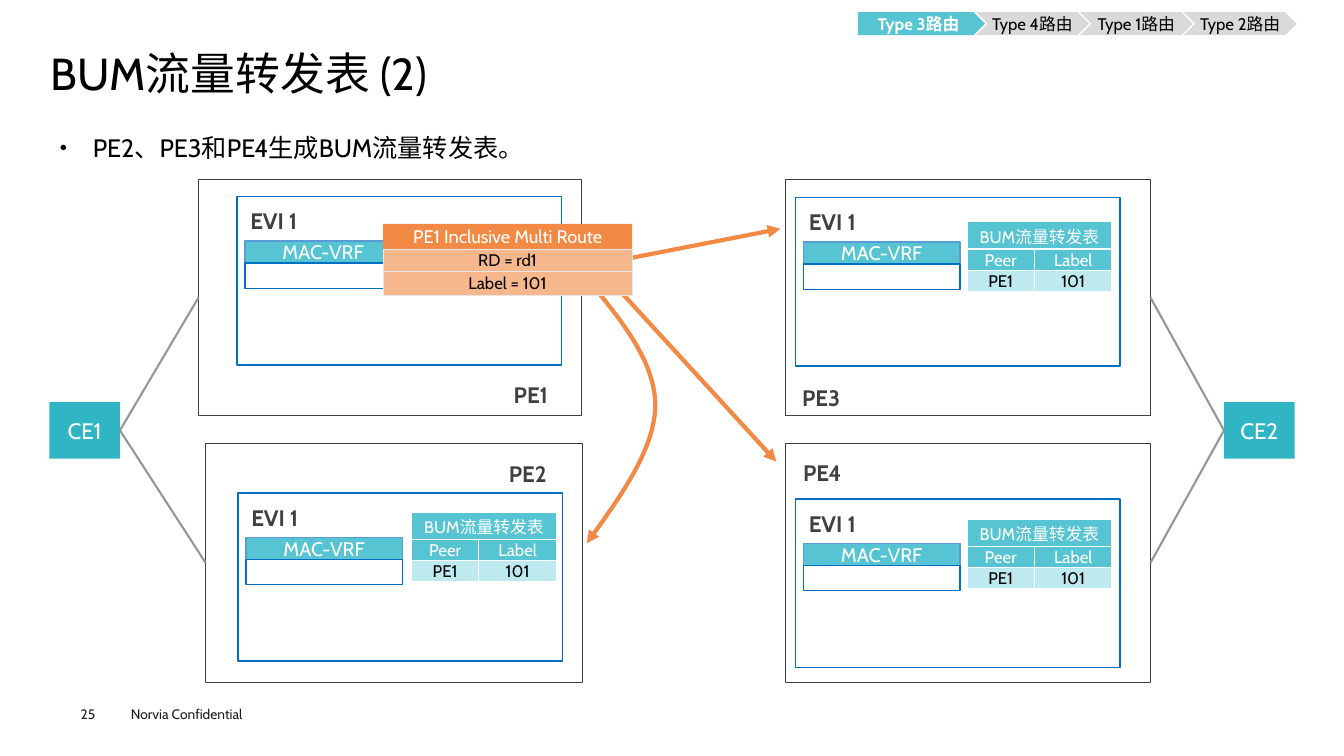
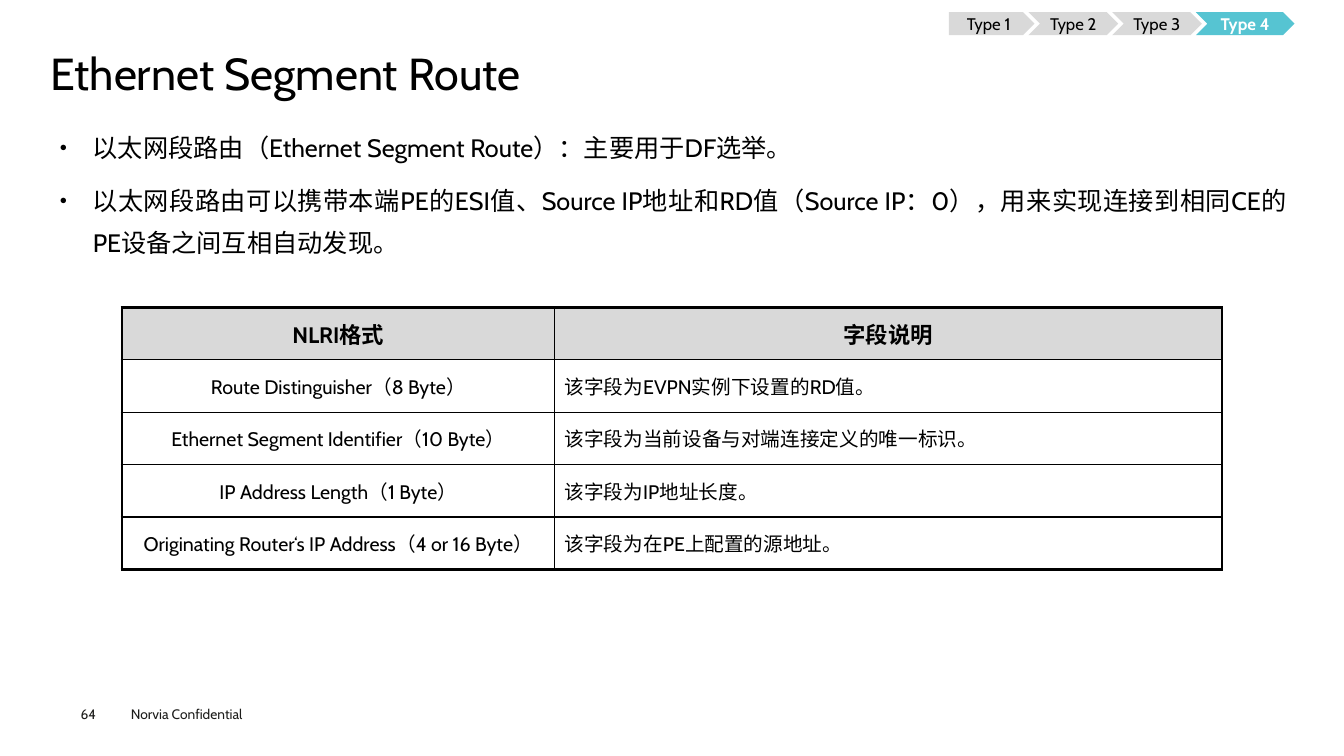
"""Builds two slides on EVPN routes: BUM forwarding tables and the Ethernet Segment Route."""
from lxml.etree import SubElement
from pptx import Presentation
from pptx.dml.color import RGBColor
from pptx.enum.lang import MSO_LANGUAGE_ID
from pptx.enum.shapes import MSO_CONNECTOR, MSO_SHAPE
from pptx.enum.text import MSO_ANCHOR, MSO_AUTO_SIZE, PP_ALIGN
from pptx.oxml.ns import qn
from pptx.util import Inches, Pt

FONT = "Cabin"
COLORS = {
    "black": "000000", "white": "FFFFFF", "footer": "1D1D1B", "dark": "404040",
    "blue": "0070C0", "light_blue": "5B9BD5", "teal": "56C4D2", "deep_teal": "30B5C5",
    "pale_teal": "BEE9EE", "orange": "F28944", "pale_orange": "F6B78C",
    "grey": "D9D9D9", "pale_grey": "E7E6E6", "link": "969696",
}
CENTER, LEFT, JUSTIFY = PP_ALIGN.CENTER, PP_ALIGN.LEFT, PP_ALIGN.JUSTIFY


def rgb(name):
    """Return the named colour."""
    return RGBColor.from_string(COLORS[name])


def inches(values):
    """Turn a sequence of numbers into lengths."""
    return [Inches(v) for v in values]


def write(p, text, size, color="black", bold=False, align=LEFT):
    """Add one formatted run to a paragraph."""
    p.alignment = align
    r = p.add_run()
    r.text = text
    r.font.name = FONT
    r.font.size = Pt(size)
    r.font.bold = bold
    r.font.color.rgb = rgb(color)
    r.font.language_id = MSO_LANGUAGE_ID.SIMPLIFIED_CHINESE


def set_insets(frame, left, top, right, bottom):
    """Set the four inner margins of a text frame or a cell."""
    frame.margin_left, frame.margin_top, frame.margin_right, frame.margin_bottom = inches(
        (left, top, right, bottom))


def add_text(s, at, text, size, color="black", bold=False, align=LEFT, wrap=True, inset=True):
    """Add a text box of one paragraph."""
    tf = s.shapes.add_textbox(*inches(at)).text_frame
    tf.word_wrap = wrap
    if not inset:
        set_insets(tf, 0, 0, 0, 0)
    write(tf.paragraphs[0], text, size, color, bold, align)


def add_box(s, at, fill=None, line=None, width=1, text="", size=12, color="black",
            bold=False, kind=MSO_SHAPE.RECTANGLE):
    """Add a preset shape with an optional centred label."""
    sp = s.shapes.add_shape(kind, *inches(at))
    sp.shadow.inherit = False
    if fill:
        sp.fill.solid()
        sp.fill.fore_color.rgb = rgb(fill)
    else:
        sp.fill.background()
    if line:
        sp.line.color.rgb = rgb(line)
        sp.line.width = Pt(width)
    else:
        sp.line.fill.background()
    if text:
        tf = sp.text_frame
        set_insets(tf, 0, 0, 0, 0)
        tf.vertical_anchor = MSO_ANCHOR.MIDDLE
        write(tf.paragraphs[0], text, size, color, bold, CENTER)
    return sp


def stroke(sp, color, width, arrow=False):
    """Format a line, with an arrowhead at its end if asked."""
    sp.line.color.rgb = rgb(color)
    sp.line.width = Pt(width)
    if arrow:
        SubElement(sp.element.spPr.find(qn("a:ln")), qn("a:tailEnd"), type="triangle")
    SubElement(sp.element.spPr, qn("a:effectLst"))


def add_link(s, start, start_side, end, end_side):
    """Join two boxes with a grey connector."""
    cn = s.shapes.add_connector(MSO_CONNECTOR.STRAIGHT, 0, 0, 0, 0)
    cn.begin_connect(start, start_side)
    cn.end_connect(end, end_side)
    stroke(cn, "link", 1.5)


def add_arrow(s, start, end):
    """Add a straight orange arrow."""
    cn = s.shapes.add_connector(MSO_CONNECTOR.STRAIGHT, *inches(start + end))
    stroke(cn, "orange", 3, arrow=True)


def bezier(a, b, c, d, steps=20):
    """Return points along a cubic curve, without its first point."""
    points = []
    for i in range(1, steps + 1):
        t = i / steps
        u = 1 - t
        weights = (u ** 3, 3 * u * u * t, 3 * u * t * t, t ** 3)
        points.append([sum(w * q[k] for w, q in zip(weights, (a, b, c, d))) for k in (0, 1)])
    return points


def add_curved_arrow(s, *segments):
    """Add an orange arrow along cubic segments."""
    fb = s.shapes.build_freeform(*inches(segments[0][0]))
    points = [q for segment in segments for q in bezier(*segment)]
    fb.add_line_segments([inches(q) for q in points], close=False)
    sp = fb.convert_to_shape()
    sp.fill.background()
    stroke(sp, "orange", 3, arrow=True)


def set_borders(cell, color, widths):
    """Set the left, right, top and bottom borders of a cell."""
    tc_pr = cell._tc.get_or_add_tcPr()
    for side, width in zip("LRTB", widths):
        ln = SubElement(tc_pr, qn(f"a:ln{side}"), w=str(Pt(width)))
        fill = SubElement(ln, qn("a:solidFill"))
        SubElement(fill, qn("a:srgbClr"), val=COLORS[color])


def add_table(s, at, cols, heights, rows, border, outer, insets=None):
    """Add a table from rows of (texts, fill, size, colour, bold, alignments)."""
    size = (sum(cols), sum(heights))
    tb = s.shapes.add_table(len(rows), len(cols), *inches(at + size)).table
    tb.first_row = tb.horz_banding = False
    for col, width in zip(tb.columns, cols):
        col.width = Inches(width)
    for i, (texts, fill, pt, color, bold, aligns) in enumerate(rows):
        tb.rows[i].height = Inches(heights[i])
        for j, (text, align) in enumerate(zip(texts, aligns)):
            cell = tb.cell(i, j)
            edges = (j == 0, j == len(cols) - 1, i == 0, i == len(rows) - 1)
            set_borders(cell, border, [outer if edge else 1 for edge in edges])
            if fill:
                cell.fill.solid()
                cell.fill.fore_color.rgb = rgb(fill)
            else:
                cell.fill.background()
            cell.vertical_anchor = MSO_ANCHOR.MIDDLE
            if insets:
                set_insets(cell, *insets)
            write(cell.text_frame.paragraphs[0], text, pt, color, bold, align)
    return tb


def add_bullets(s, texts):
    """Add the bulleted, justified body text."""
    tf = s.shapes.add_textbox(*inches((0.5, 1.15, 12.35, 1.6))).text_frame
    tf.word_wrap = True
    set_insets(tf, 0.09, 0.04, 0.09, 0.04)
    for i, text in enumerate(texts):
        p = tf.add_paragraph() if i else tf.paragraphs[0]
        p_pr = p._p.get_or_add_pPr()
        p_pr.set("marL", str(Inches(0.33)))
        p_pr.set("indent", str(-Inches(0.33)))
        SubElement(p_pr, qn("a:buSzPct"), val="50000")
        SubElement(p_pr, qn("a:buFont"), typeface="Arial")
        SubElement(p_pr, qn("a:buChar"), char="●")
        p.line_spacing = 1.4
        if i:
            p.space_before = Pt(7.9)
        write(p, text, 18, align=JUSTIFY)


def add_steps(s, left, overlap, steps, active):
    """Add the chevron strip at the top right."""
    for i, (text, width) in enumerate(steps):
        on = i == active
        add_box(s, (left, 0.12, width, 0.23), "teal" if on else "grey", text=text,
                color="white" if on else "black", bold=on,
                kind=MSO_SHAPE.CHEVRON if i else MSO_SHAPE.PENTAGON)
        left += width - overlap


def new_slide(prs, title, number, bullets):
    """Add a slide with its title, footer and bullets."""
    s = prs.slides.add_slide(prs.slide_layouts[5])
    sp = s.shapes.title
    sp.left, sp.top, sp.width, sp.height = inches((0.5, 0.49, 12.35, 0.53))
    tf = sp.text_frame
    tf.auto_size = MSO_AUTO_SIZE.NONE
    tf.vertical_anchor = MSO_ANCHOR.MIDDLE
    set_insets(tf, 0, 0, 0, 0)
    tf.paragraphs[0].line_spacing = 0.9
    write(tf.paragraphs[0], title, 32)
    add_text(s, (1.2, 6.95, 1.6, 0.27), "Norvia Confidential", 9.8, "footer")
    add_text(s, (0.8, 7, 0.55, 0.16), str(number), 9.8, "footer", inset=False)
    add_bullets(s, bullets)
    return s


def add_label(s, x, y, width, text):
    """Add a bold dark label."""
    add_text(s, (x, y, width, 0.37), text, 16, "dark", True, CENTER, wrap=False)


def add_pe(s, at, name, label_at):
    """Add the frame and name of a PE device."""
    sp = add_box(s, at, line="dark")
    add_label(s, *label_at, 0.59, name)
    return sp


def add_evi(s, x, y):
    """Add an EVI frame with its MAC-VRF table."""
    add_box(s, (x, y, 3.22, 1.67), line="blue")
    add_box(s, (x + 0.08, y + 0.44, 1.55, 0.22), "teal", "light_blue",
            text="MAC-VRF", size=14, color="white")
    add_label(s, x - 0.01, y + 0.06, 0.75, "EVI 1")
    add_box(s, (x + 0.08, y + 0.66, 1.55, 0.25), line="blue")


def add_bum_table(s, x, y):
    """Add a BUM forwarding table."""
    aligns = (CENTER, CENTER)
    rows = [
        (("BUM流量转发表", ""), "teal", 12, "white", False, aligns),
        (("Peer", "Label"), "teal", 12, "white", False, aligns),
        (("PE1", "101"), "pale_teal", 12, "black", False, aligns),
    ]
    tb = add_table(s, (x, y), (0.67, 0.77), (0.27, 0.2, 0.2), rows, "white", 1,
                   (0.01, 0.01, 0.01, 0))
    tb.cell(0, 0).merge(tb.cell(0, 1))


def build_bum(prs):
    """Build the BUM forwarding table slide."""
    s = new_slide(prs, "BUM流量转发表 (2)", 25, ["PE2、PE3和PE4生成BUM流量转发表。"])
    pe1 = add_pe(s, (1.97, 1.78, 3.8, 2.34), "PE1", (4.97, 3.73))
    pe2 = add_pe(s, (2.04, 4.4, 3.74, 2.37), "PE2", (4.94, 4.52))
    pe3 = add_pe(s, (7.79, 1.78, 3.62, 2.34), "PE3", (7.85, 3.76))
    pe4 = add_pe(s, (7.79, 4.4, 3.62, 2.37), "PE4", (7.86, 4.51))
    for x, y in ((2.35, 1.95), (7.89, 1.96), (2.36, 4.89), (7.89, 4.95)):
        add_evi(s, x, y)
    for x, y in ((9.59, 2.2), (9.59, 5.15), (4.08, 5.08)):
        add_bum_table(s, x, y)
    add_curved_arrow(s, ((5.81, 2.75), (6.15, 3.16), (6.49, 3.57), (6.5, 4.01)),
                     ((6.5, 4.01), (6.5, 4.45), (6.16, 4.92), (5.82, 5.39)))
    add_arrow(s, (5.85, 2.56), (7.7, 4.58))
    add_arrow(s, (5.69, 2.67), (7.74, 2.27))
    steps = [("Type 3路由", 1.26)] + [(f"Type {n}路由", 1.12) for n in (4, 1, 2)]
    add_steps(s, 8.51, 0.09, steps, active=0)
    add_box(s, (3.8, 2.22, 2.47, 0.25), "orange", text="PE1 Inclusive Multi Route",
            size=13, color="white")
    for y, height, text in ((2.47, 0.22, "RD = rd1"), (2.69, 0.24, "Label = 101")):
        add_box(s, (3.8, y, 2.47, height), "pale_orange", "pale_grey", 0.25, text)
    ce1, ce2 = [add_box(s, (x, 3.99, 0.7, 0.56), "deep_teal", text=name, size=16, color="white")
                for x, name in ((0.49, "CE1"), (12.14, "CE2"))]
    for pe in (pe1, pe2):
        add_link(s, pe, 1, ce1, 3)
    for pe in (pe3, pe4):
        add_link(s, pe, 3, ce2, 1)


def build_segment_route(prs):
    """Build the Ethernet Segment Route slide."""
    s = new_slide(prs, "Ethernet Segment Route", 64, [
        "以太网段路由（Ethernet Segment Route）：主要用于DF选举。",
        "以太网段路由可以携带本端PE的ESI值、Source IP地址和RD值（Source IP：0），"
        "用来实现连接到相同CE的PE设备之间互相自动发现。",
    ])
    fields = [
        ("Route Distinguisher（8 Byte）", "该字段为EVPN实例下设置的RD值。"),
        ("Ethernet Segment Identifier（10 Byte）", "该字段为当前设备与对端连接定义的唯一标识。"),
        ("IP Address Length（1 Byte）", "该字段为IP地址长度。"),
        ("Originating Router‘s IP Address（4 or 16 Byte）", "该字段为在PE上配置的源地址。"),
    ]
    rows = [(("NLRI格式", "字段说明"), "grey", 16, "black", True, (CENTER, CENTER))]
    rows += [(texts, None, 14, "black", False, (CENTER, LEFT)) for texts in fields]
    add_table(s, (1.21, 3.05), (4.29, 6.62), [0.52] * len(rows), rows, "black", 2.25)
    steps = [("Type 1", 0.85), ("Type 2", 0.89), ("Type 3", 0.89), ("Type 4", 0.98)]
    add_steps(s, 9.41, 0.06, steps, active=3)


def main():
    """Build and save the presentation."""
    prs = Presentation()
    prs.slide_width, prs.slide_height = inches((13.33, 7.5))
    build_bum(prs)
    build_segment_route(prs)
    prs.save("out.pptx")


if __name__ == "__main__":
    main()
